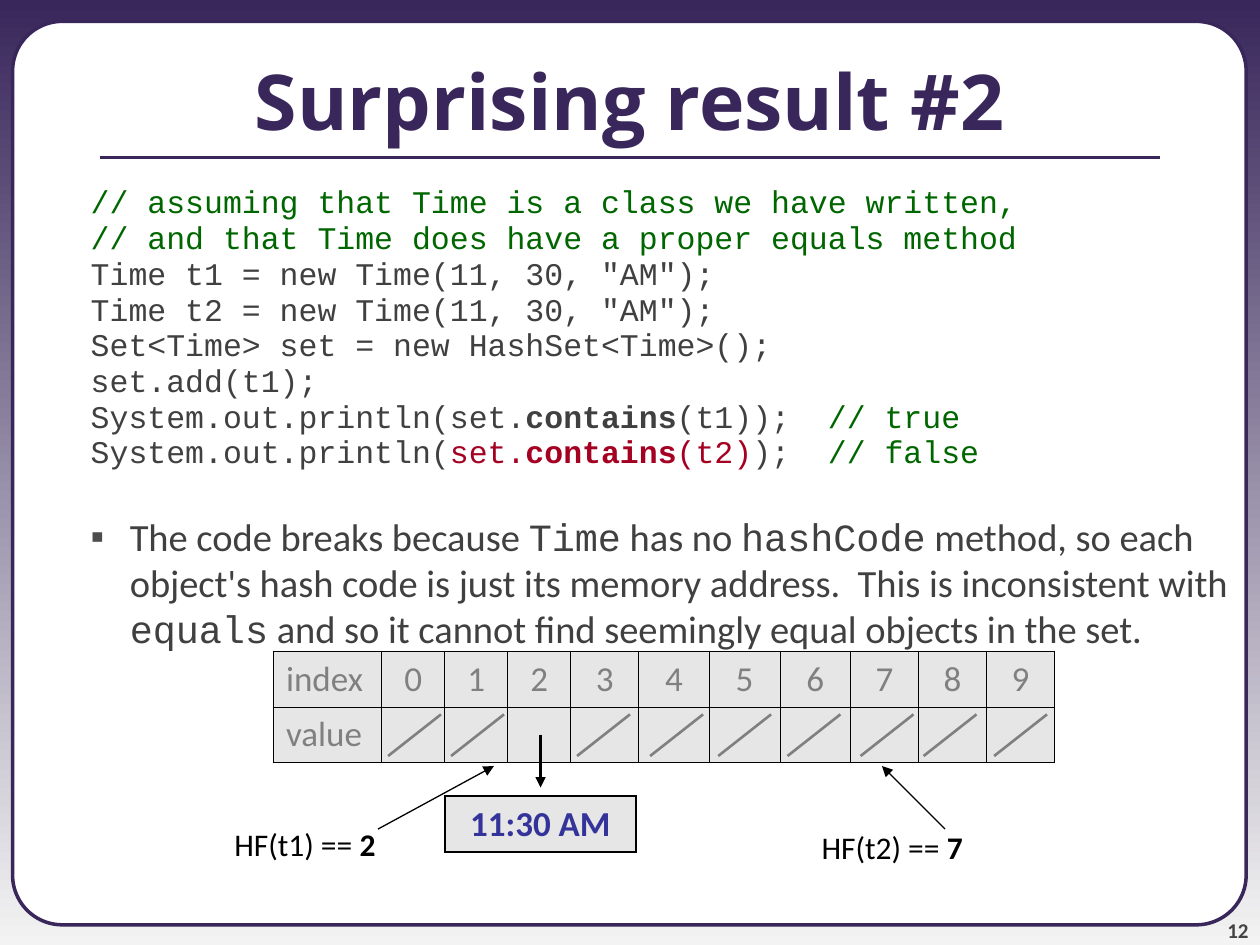
from lxml import etree
from pptx import Presentation
from pptx import util as u
from pptx.dml import color as c
from pptx.enum import shapes, text
from pptx.oxml import ns

PURPLE, INK, BLACK = "39275B", "404040", "000000"
GREEN, RED, GRAY, PALE = "006600", "A50021", "808080", "E6E6E6"
THIN, THICK = 0.45, 1.08
ALIGN, ANCHOR, FIT = text.PP_ALIGN, text.MSO_ANCHOR, text.MSO_AUTO_SIZE


def rgb(value):
    """Turn a hex string into a colour."""
    return c.RGBColor.from_string(value)


def set_values(target, values):
    """Set each named attribute on the target."""
    for name, value in values.items():
        setattr(target, name, value)


def add_xml(parent, tag, **attributes):
    """Append a drawing element to the parent."""
    return etree.SubElement(parent, ns.qn("a:" + tag), attributes)


def add_solid(parent, color):
    """Append a solid fill to the parent."""
    add_xml(add_xml(parent, "solidFill"), "srgbClr", val=color)


class SlideBuilder:
    """Hold the text style and the current slide."""

    def __init__(self, slide, font="Calibri"):
        """Keep the slide and its default font."""
        self.slide = slide
        self.font = font

    def background(self, top, bottom):
        """Fill the background from top to bottom."""
        fill = self.slide.background.fill
        fill.gradient()
        fill.gradient_angle = 270
        for stop, color in zip(fill.gradient_stops, (top, bottom)):
            stop.color.rgb = rgb(color)

    def panel(self, left, top, width, height):
        """Add the rounded white panel."""
        shape = self.slide.shapes.add_shape(
            shapes.MSO_SHAPE.ROUNDED_RECTANGLE,
            *map(u.Inches, (left, top, width, height)))
        shape.adjustments[0] = 0.055
        shape.shadow.inherit = False
        shape.fill.solid()
        shape.fill.fore_color.rgb = rgb("FFFFFF")
        shape.line.color.rgb = rgb(PURPLE)
        shape.line.width = u.Pt(2)

    def add_runs(self, paragraph, runs, size, color, **paragraph_format):
        """Add runs of text with optional font changes."""
        set_values(paragraph, paragraph_format)
        for content, changes in runs:
            run = paragraph.add_run()
            run.text = content
            values = {"name": self.font, "bold": False, **changes}
            run.font.color.rgb = rgb(values.pop("color", color))
            set_values(run.font, {"size": u.Pt(size), **values})

    def placeholder(self, index, box, **frame_format):
        """Place a template placeholder in front and return its frame."""
        shape = self.slide.placeholders[index]
        self.slide.shapes.element.append(shape.element)
        set_values(shape, dict(zip(("left", "top", "width", "height"), map(u.Inches, box))))
        set_values(shape.text_frame, {"auto_size": FIT.NONE, **frame_format})
        return shape.text_frame

    def body_item(self, paragraph, bullet=None):
        """Give a body paragraph its hanging indent and bullet."""
        properties = paragraph._p.get_or_add_pPr()
        properties.set("marL", str(u.Inches(0.93)))
        properties.set("indent", str(u.Inches(-0.31)))
        if bullet:
            add_xml(add_xml(properties, "buClr"), "srgbClr", val="4D4D4D")
            add_xml(properties, "buChar", char=bullet)
        else:
            add_xml(properties, "buNone")

    def label(self, box, runs, size, color=BLACK, **frame_format):
        """Add a right-aligned text box."""
        frame = self.slide.shapes.add_textbox(*map(u.Inches, box)).text_frame
        set_values(frame, {"word_wrap": False, **frame_format})
        self.add_runs(frame.paragraphs[0], runs, size, color, alignment=ALIGN.RIGHT)

    def line(self, start, end, color, width, arrow=False):
        """Add a straight line, with an arrowhead if asked."""
        connector = self.slide.shapes.add_connector(
            shapes.MSO_CONNECTOR.STRAIGHT, *map(u.Inches, (*start, *end)))
        connector.line.color.rgb = rgb(color)
        connector.line.width = u.Pt(width)
        properties = connector.element.spPr
        if arrow:
            add_xml(properties.find(ns.qn("a:ln")), "tailEnd", type="triangle")
        add_xml(properties, "effectLst")

    def table(self, left, top, widths, rows, color, bold=False, first_align=ALIGN.CENTER):
        """Add a pale table with a heavier outer border."""
        height = 0.44
        table = self.slide.shapes.add_table(
            len(rows), len(widths),
            *map(u.Inches, (left, top, sum(widths), height * len(rows)))).table
        set_values(table, {"first_row": False, "horz_banding": False})
        for column, width in zip(table.columns, widths):
            column.width = u.Inches(width)
        for row_index, row in enumerate(rows):
            table.rows[row_index].height = u.Inches(height)
            for column_index, content in enumerate(row):
                cell = table.cell(row_index, column_index)
                outer = {"lnL": column_index == 0, "lnR": column_index == len(widths) - 1,
                         "lnT": row_index == 0, "lnB": row_index == len(rows) - 1}
                for tag, is_outer in outer.items():
                    width = u.Pt(THICK if is_outer else THIN)
                    add_solid(add_xml(cell._tc.get_or_add_tcPr(), tag, w=str(width)), BLACK)
                cell.fill.solid()
                cell.fill.fore_color.rgb = rgb(PALE)
                if content:
                    alignment = ALIGN.CENTER if column_index else first_align
                    self.add_runs(cell.text_frame.paragraphs[0], [(content, {"bold": bold})],
                                  20, color, alignment=alignment)


def main():
    """Build and save the slide."""
    presentation = Presentation()
    presentation.slide_width, presentation.slide_height = u.Inches(10), u.Inches(7.5)
    builder = SlideBuilder(presentation.slides.add_slide(presentation.slide_layouts[1]))
    bold = {"bold": True}

    builder.background(PURPLE, "F3F3F3")
    builder.panel(0.1, 0.17, 9.79, 7.17)
    margins = dict.fromkeys(("margin_left", "margin_top", "margin_right", "margin_bottom"), 0)
    builder.label((9.08, 7.08, 0.83, 0.4), [("12", bold)], 12, "424242",
                  vertical_anchor=ANCHOR.BOTTOM, **{**margins, "word_wrap": True})
    builder.line((0.79, 1.25), (9.21, 1.25), PURPLE, 2.25)

    title = builder.placeholder(0, (0, 0.17, 10, 1.25), vertical_anchor=ANCHOR.MIDDLE)
    builder.add_runs(title.paragraphs[0], [("Surprising result #2", {"name": "Open Sans", **bold})],
                     44, PURPLE, alignment=ALIGN.CENTER)

    green, red = {"color": GREEN}, {"color": RED}
    code = [
        [("// assuming that Time is a class we have written,", green)],
        [("// and that Time does have a proper equals method", green)],
        [('Time t1 = new Time(11, 30, "AM");', {})],
        [('Time t2 = new Time(11, 30, "AM");', {})],
        [("Set<Time> set = new HashSet<Time>();", {})],
        [("set.add(t1);", {})],
        [("System.out.println(set.", {}), ("contains", bold), ("(t1));  ", {}), ("// true", green)],
        [("System.out.println(", {}), ("set.", red), ("contains", {**red, **bold}),
         ("(t2)", red), (");  ", {}), ("// false", green)],
    ]
    mono = {"name": "Courier New"}
    body = builder.placeholder(1, (0, 1.42, 10, 6.08), margin_top=u.Inches(0.11))
    for index, runs in enumerate(code):
        paragraph = body.add_paragraph() if index else body.paragraphs[0]
        builder.body_item(paragraph)
        builder.add_runs(paragraph, [(content, {**mono, **changes}) for content, changes in runs],
                         18, INK, line_spacing=0.7, space_before=u.Pt(5.3 if index else 0))
    paragraph = body.add_paragraph()
    builder.body_item(paragraph, "▪")
    builder.add_runs(paragraph, [
        ("The code breaks because ", {}), ("Time", mono), (" has no ", {}), ("hashCode", mono),
        (" method, so each object's hash code is just its memory address.  "
         "This is inconsistent with ", {}),
        ("equals", mono), (" and so it cannot find seemingly equal objects in the set.", {}),
    ], 22, INK, space_before=u.Pt(25))

    widths = [0.86] + [0.5] * 3 + [0.54] + [0.56] * 3 + [0.54] * 3
    rows = [["index", *map(str, range(10))], ["value"] + [""] * 10]
    builder.table(2.17, 5.17, widths, rows, GRAY, first_align=ALIGN.LEFT)
    builder.table(3.53, 6.32, [1.52], [["11:30 AM"]], "333399", bold=True)
    builder.line((4.29, 5.83), (4.29, 6.25), BLACK, 1.5, arrow=True)
    for right in (3.5, 4, 5, 5.58, 6.12, 6.67, 7.25, 7.75, 8.31):
        builder.line((right, 5.67), (right - 0.42, 6), GRAY, 1.5)

    hashes = [("t1", "2", (1.76, 6.5), 3, 3.92), ("t2", "7", (6.42, 6.52), 7.5, 7)]
    for name, bucket, corner, start, end in hashes:
        builder.label((*corner, 1.32, 0.4), [(f"HF({name}) == ", {}), (bucket, bold)], 18,
                      auto_size=FIT.SHAPE_TO_FIT_TEXT)
        builder.line((start, 6.58), (end, 6.08), BLACK, 0.75, arrow=True)

    presentation.save("out.pptx")


if __name__ == "__main__":
    main()
